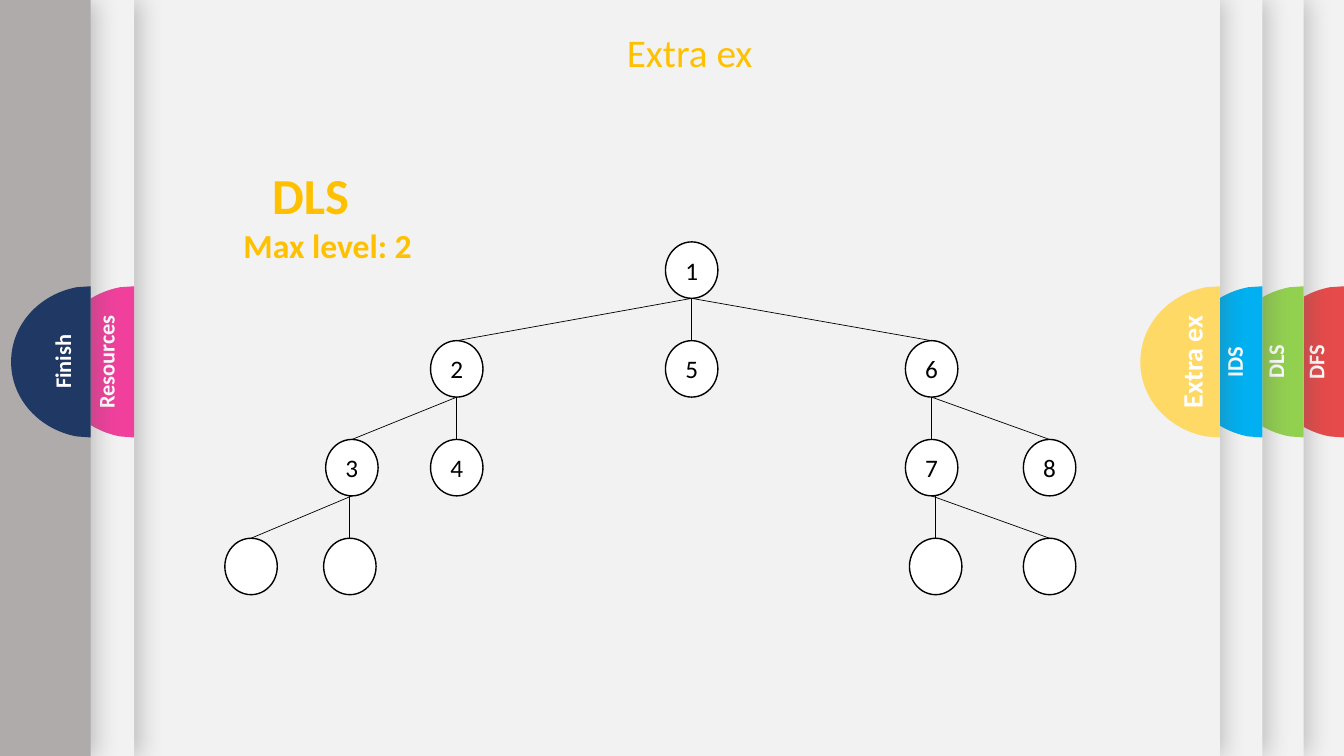
from dataclasses import dataclass

from lxml import etree
from pptx import Presentation
from pptx.dml.color import RGBColor
from pptx.enum.shapes import MSO_CONNECTOR, MSO_SHAPE
from pptx.enum.text import MSO_ANCHOR, MSO_AUTO_SIZE, PP_ALIGN
from pptx.oxml.ns import qn
from pptx.util import Inches, Pt

RECTANGLE, OVAL = MSO_SHAPE.RECTANGLE, MSO_SHAPE.OVAL
STRAIGHT = MSO_CONNECTOR.STRAIGHT
CENTER, LEFT = PP_ALIGN.CENTER, PP_ALIGN.LEFT
TOP, MIDDLE = MSO_ANCHOR.TOP, MSO_ANCHOR.MIDDLE
GROW, FIXED = MSO_AUTO_SIZE.SHAPE_TO_FIT_TEXT, MSO_AUTO_SIZE.NONE

SLIDE_W, SLIDE_H = 13.33, 7.5
TAB_TOP, TAB_W, TAB_H = 2.84, 0.79, 1.5
TAB_CORNERS = [(TAB_W, TAB_H), (0.65, 1.49), (0, 0.75), (0.65, 0.01)]
TAB_CURVES = [
    [(0.28, 1.42), (0, 1.12), (0, 0.75)],
    [(0, 0.38), (0.28, 0.08), (0.65, 0.01)],
]
LABEL_W, LABEL_INSET = 1.89, 0.28
NODE_W, NODE_H = 0.52, 0.56
LEVEL_TOP, LEVEL_STEP = 2.4, 0.98
SNAP = 0.05


@dataclass(frozen=True)
class Theme:
    font: str = "Calibri"
    panel: str = "F2F2F2"
    last_panel: str = "AFABAB"
    shadow: str = "595959"
    accent: str = "FFC000"
    white: str = "FFFFFF"
    ink: str = "000000"
    red: str = "E64A4A"
    green: str = "92D050"
    blue: str = "00B0F0"
    yellow: str = "FFD966"
    pink: str = "F0409C"
    navy: str = "203864"
    tab_size: int = 16
    active_tab_size: int = 20
    node_size: int = 18
    title_size: int = 28
    heading_size: int = 36
    caption_size: int = 24


THEME = Theme()

TABS = [
    ("DFS", SLIDE_W, THEME.panel, THEME.red, THEME.tab_size, 0.37),
    ("DLS", 12.93, THEME.panel, THEME.green, THEME.tab_size, 0.37),
    ("IDS", 12.52, THEME.panel, THEME.blue, THEME.tab_size, 0.37),
    ("Extra ex", 12.1, THEME.panel, THEME.yellow, THEME.active_tab_size, 0.44),
    ("Resources", 1.33, THEME.panel, THEME.pink, THEME.tab_size, 0.37),
    ("Finish", 0.9, THEME.last_panel, THEME.navy, THEME.tab_size, 0.37),
]

TREE = ("1", 6.86, [
    ("2", 4.53, [
        ("3", 3.49, [("", 2.49, []), ("", 3.47, [])]),
        ("4", 4.53, []),
    ]),
    ("5", 6.86, []),
    ("6", 9.24, [
        ("7", 9.24, [("", 9.28, []), ("", 10.41, [])]),
        ("8", 10.41, []),
    ]),
])


def box(left, top, width, height):
    return Inches(left), Inches(top), Inches(width), Inches(height)


def paint(shape, fill):
    shape.shadow.inherit = False
    shape.fill.solid()
    shape.fill.fore_color.rgb = RGBColor.from_string(fill)
    shape.line.fill.background()


def write(paragraph, text, size, color, bold=False, align=CENTER):
    paragraph.alignment = align
    run = paragraph.add_run()
    run.text = text
    run.font.name = THEME.font
    run.font.size = Pt(size)
    run.font.bold = bold
    run.font.color.rgb = RGBColor.from_string(color)


def add_text_frame(slide, left, top, width, height, rotation=0):
    area = slide.shapes.add_textbox(*box(left, top, width, height))
    area.rotation = rotation
    area.text_frame.word_wrap = True
    area.text_frame.auto_size = GROW
    return area.text_frame


def add_panel(slide, right, fill):
    panel = slide.shapes.add_shape(RECTANGLE, *box(right - SLIDE_W, 0, SLIDE_W, SLIDE_H))
    paint(panel, fill)
    effects = panel.element.spPr.find(qn("a:effectLst"))
    shadow = etree.SubElement(effects, qn("a:outerShdw"), blurRad=str(Pt(17)),
                              dist=str(Pt(3)), dir="0", algn="l", rotWithShape="0")
    color = etree.SubElement(shadow, qn("a:srgbClr"), val=THEME.shadow)
    etree.SubElement(color, qn("a:alpha"), val="35000")


def round_side(tab):
    sides = list(tab.element.iter(qn("a:lnTo")))[2:4]
    for side, curve in zip(sides, TAB_CURVES):
        bend = etree.Element(qn("a:cubicBezTo"))
        for x, y in curve:
            etree.SubElement(bend, qn("a:pt"), x=str(Inches(x)), y=str(Inches(y)))
        side.getparent().replace(side, bend)


def add_tab(slide, label, right, fill, size, label_height):
    left = right - TAB_W
    outline = slide.shapes.build_freeform(Inches(right), Inches(TAB_TOP))
    outline.add_line_segments(
        [(Inches(left + x), Inches(TAB_TOP + y)) for x, y in TAB_CORNERS], close=True)
    tab = outline.convert_to_shape()
    round_side(tab)
    paint(tab, fill)
    frame = add_text_frame(slide, right - LABEL_INSET - LABEL_W / 2,
                           TAB_TOP + (TAB_H - label_height) / 2, LABEL_W, label_height, 270)
    write(frame.paragraphs[0], label, size, THEME.white, bold=True)


def add_title(slide, text):
    title = slide.shapes.title
    title.left, title.top, title.width, title.height = box(2.81, 0.23, 8.06, 0.57)
    title.text_frame.vertical_anchor = TOP
    title.text_frame.auto_size = FIXED
    write(title.text_frame.paragraphs[0], text, THEME.title_size, THEME.accent)
    slide.shapes.element.append(title.element)


def add_edge(slide, start, end):
    edge = slide.shapes.add_connector(STRAIGHT, *map(Inches, start + end))
    edge.line.color.rgb = RGBColor.from_string(THEME.ink)
    edge.line.width = Pt(0.5)
    etree.SubElement(edge.element.spPr, qn("a:effectLst"))


def add_node(slide, label, center, top):
    node = slide.shapes.add_shape(OVAL, *box(center - NODE_W / 2, top, NODE_W, NODE_H))
    paint(node, THEME.white)
    node.line.color.rgb = RGBColor.from_string(THEME.ink)
    node.line.width = Pt(1)
    node.text_frame.vertical_anchor = MIDDLE
    if label:
        write(node.text_frame.paragraphs[0], label, THEME.node_size, THEME.ink)


def add_tree(slide, branch, top=LEVEL_TOP):
    label, center, children = branch
    add_node(slide, label, center, top)
    for child in children:
        child_center, child_top = child[1], top + LEVEL_STEP
        add_tree(slide, child, child_top)
        start = child_center if abs(child_center - center) < SNAP else center
        add_edge(slide, (start, top + NODE_H), (child_center, child_top))


def add_search_caption(slide):
    frame = add_text_frame(slide, 1.97, 1.58, 2.56, 1.11)
    heading = frame.paragraphs[0]
    write(heading, "DLS", THEME.heading_size, THEME.accent, bold=True, align=LEFT)
    heading._p.get_or_add_pPr().set("marL", str(Inches(0.63)))
    write(frame.add_paragraph(), "Max level: 2", THEME.caption_size, THEME.accent, bold=True)


def main():
    deck = Presentation()
    deck.slide_width, deck.slide_height = Inches(SLIDE_W), Inches(SLIDE_H)
    slide = deck.slides.add_slide(deck.slide_layouts[5])
    for label, right, panel_fill, tab_fill, size, label_height in TABS:
        add_panel(slide, right, panel_fill)
        add_tab(slide, label, right, tab_fill, size, label_height)
    add_title(slide, "Extra ex")
    add_tree(slide, TREE)
    add_search_caption(slide)
    deck.save("out.pptx")


if __name__ == "__main__":
    main()
